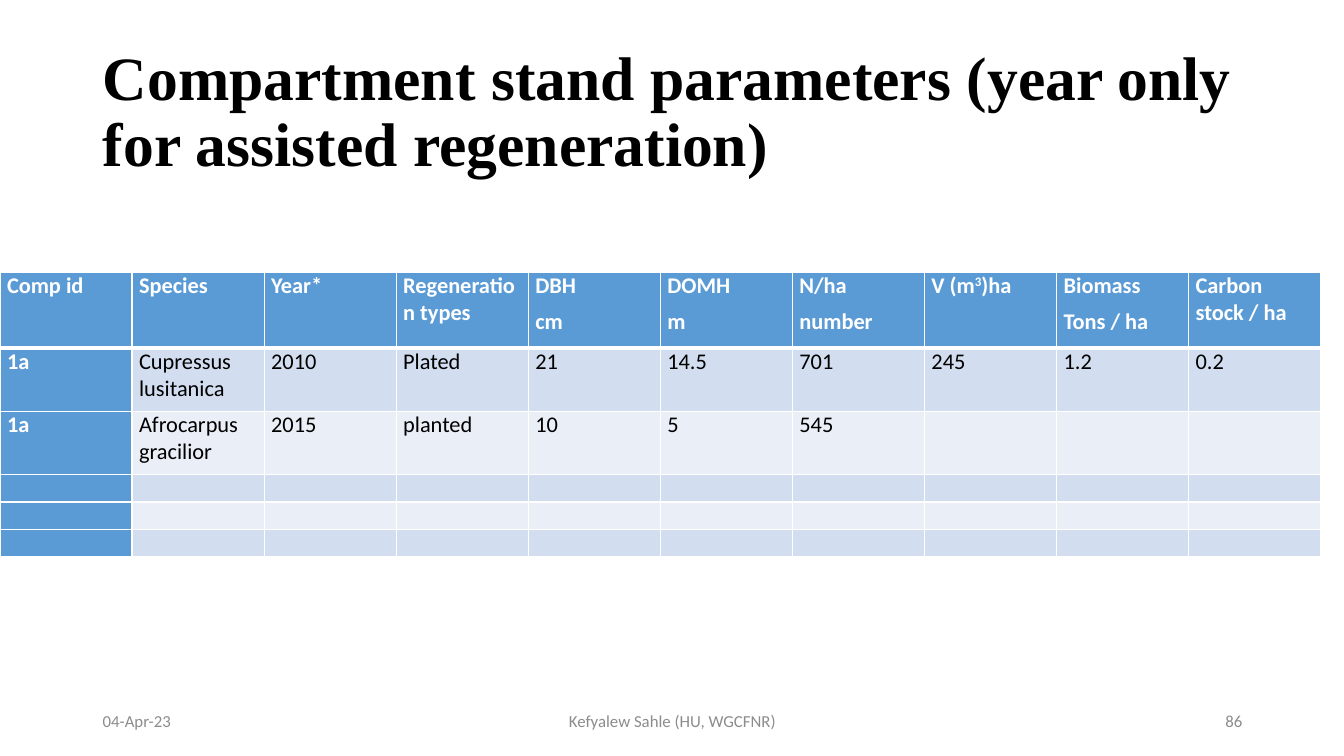
from dataclasses import dataclass

import pptx
import pptx.dml.color
import pptx.enum.text
import pptx.util
from lxml import etree

PX = 9144
NS = "http://schemas.openxmlformats.org/drawingml/2006/main"
HUE = {
    "head": "5B9BD5",
    "odd": "D2DEEF",
    "even": "EAEFF7",
    "white": "FFFFFF",
    "black": "000000",
    "gray": "8C8C8C",
}
ALIGN = pptx.enum.text.PP_ALIGN
MID = pptx.enum.text.MSO_ANCHOR.MIDDLE
COLS = 10
HIGH = [75, 63, 63, 27, 27, 27]
ROWS = [
    ["Comp id", "Species", "Year*", "Regeneration types", "DBH\ncm", "DOMH\nm",
     "N/ha\nnumber", "V (m^3^)ha", "Biomass\nTons / ha", "Carbon stock / ha"],
    ["1a", "Cupressus lusitanica", "2010", "Plated", "21", "14.5", "701", "245", "1.2", "0.2"],
    ["1a", "Afrocarpus gracilior", "2015", "planted", "10", "5", "545"],
]


@dataclass
class Note:
    text: str
    left: int
    width: int
    align: ALIGN


NOTES = [
    Note("04-Apr-23", 92, 300, ALIGN.LEFT),
    Note("Kefyalew Sahle (HU, WGCFNR)", 442, 450, ALIGN.CENTER),
    Note("86", 942, 300, ALIGN.RIGHT),
]


def px(n: int) -> pptx.util.Emu:
    return pptx.util.Emu(n * PX)


def tint(name: str) -> pptx.dml.color.RGBColor:
    return pptx.dml.color.RGBColor.from_string(HUE[name])


def style(para, face: str, size: int, hue: str, bold: bool = False) -> None:
    for run in para.runs:
        run.font.name = face
        run.font.size = pptx.util.Pt(size)
        run.font.color.rgb = tint(hue)
        run.font.bold = bold


def draw_note(slide, note: Note) -> None:
    box = slide.shapes.add_textbox(px(note.left), px(695), px(note.width), px(40))
    frame = box.text_frame
    frame.word_wrap = True
    frame.vertical_anchor = MID
    frame.text = note.text
    para = frame.paragraphs[0]
    para.alignment = note.align
    style(para, "Calibri", 12, "gray")


def edge(cell, side: str, width: int) -> None:
    props = cell._tc.get_or_add_tcPr()
    line = etree.SubElement(props, f"{{{NS}}}ln{side}", w=str(width * 12700))
    fill = etree.SubElement(line, f"{{{NS}}}solidFill")
    etree.SubElement(fill, f"{{{NS}}}srgbClr", val=HUE["white"])


def draw_cell(cell, row: int, col: int, text: str) -> None:
    strong = row == 0 or col == 0
    cell.margin_left = cell.margin_right = px(7)
    cell.margin_top = cell.margin_bottom = 0
    for side in "LRTB":
        thick = (row, side) in ((0, "B"), (1, "T"))
        edge(cell, side, 3 if thick else 1)
    cell.fill.solid()
    cell.fill.fore_color.rgb = tint("head" if strong else "odd" if row % 2 else "even")
    frame = cell.text_frame
    frame.text = text.replace("^", "")
    for para, line in zip(frame.paragraphs, text.split("\n")):
        parts = line.split("^")
        para.text = parts[0]
        for i, part in enumerate(parts[1:], 1):
            run = para.add_run()
            run.text = part
            if i % 2:
                run.font._element.set("baseline", "30000")
        if text:
            para.alignment = ALIGN.JUSTIFY
            para.space_after = pptx.util.Pt(6)
            style(para, "Calibri", 16, "white" if strong else "black", strong)
        else:
            para._p.get_or_add_endParaRPr().set("sz", "1600")


def draw_table(slide) -> None:
    frame = slide.shapes.add_table(len(HIGH), COLS, 0, px(270), px(131 * COLS), px(sum(HIGH)))
    table = frame.table
    table.first_col = True
    for col in table.columns:
        col.width = px(131)
    for r, high in enumerate(HIGH):
        table.rows[r].height = px(high)
        texts = ROWS[r] if r < len(ROWS) else []
        for c in range(COLS):
            draw_cell(table.cell(r, c), r, c, texts[c] if c < len(texts) else "")


def draw_title(slide) -> None:
    title = slide.shapes.title
    title.left, title.top, title.width, title.height = map(px, (92, 40, 1150, 145))
    frame = title.text_frame
    frame.text = "Compartment stand parameters (year only for assisted regeneration)"
    frame.word_wrap = True
    frame.auto_size = pptx.enum.text.MSO_AUTO_SIZE.NONE
    frame.vertical_anchor = MID
    para = frame.paragraphs[0]
    para.alignment = ALIGN.LEFT
    para.line_spacing = 0.9
    style(para, "Times New Roman", 44, "black", True)


def main() -> None:
    deck = pptx.Presentation()
    deck.slide_width, deck.slide_height = px(1333), px(750)
    slide = deck.slides.add_slide(deck.slide_layouts[5])
    for note in NOTES:
        draw_note(slide, note)
    draw_table(slide)
    draw_title(slide)
    deck.save("out.pptx")


if __name__ == "__main__":
    main()
